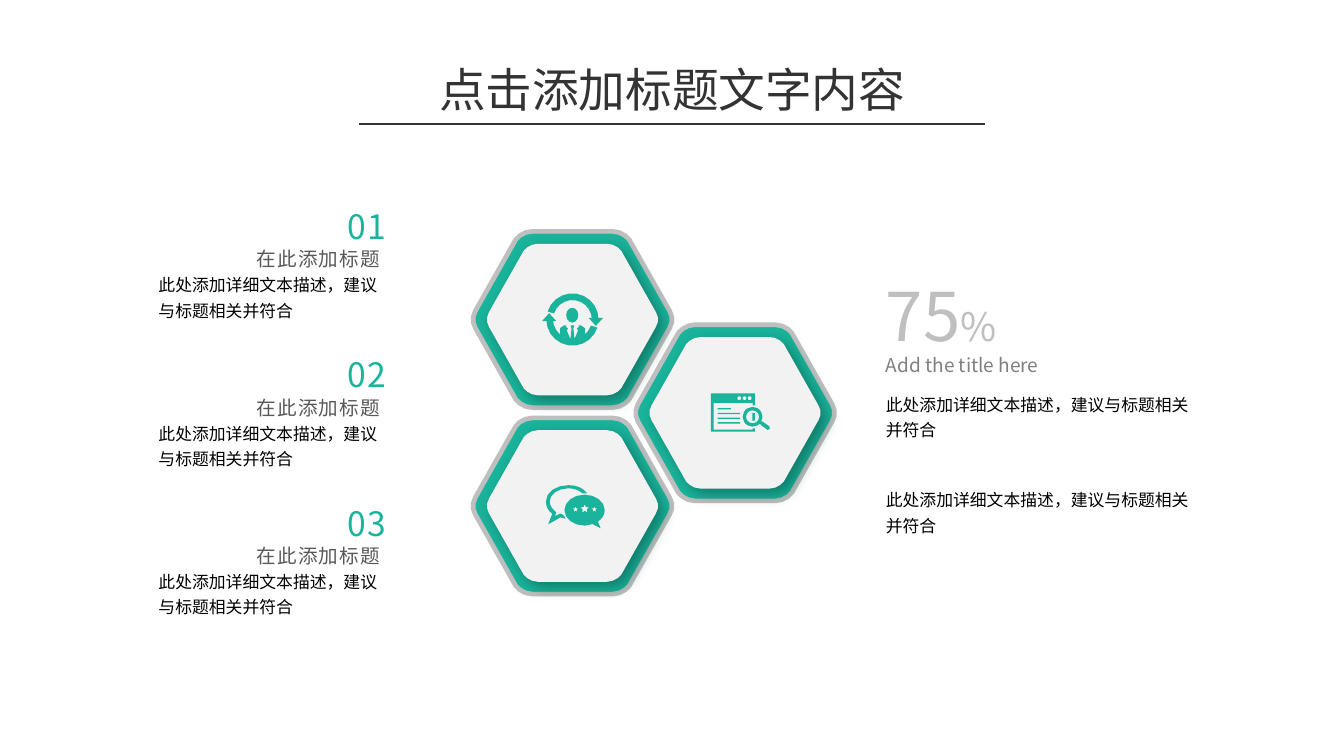
from dataclasses import dataclass
from math import cos, radians, sin

from lxml.etree import SubElement
from pptx import Presentation
from pptx.dml.color import RGBColor
from pptx.enum.shapes import MSO_CONNECTOR, MSO_SHAPE
from pptx.enum.text import MSO_ANCHOR, MSO_AUTO_SIZE, PP_ALIGN
from pptx.oxml.ns import qn
from pptx.util import Pt

FONT = "Noto Sans CJK SC"
TEAL = RGBColor(0x19, 0xB4, 0x9B)
PANEL = RGBColor(0xF2, 0xF2, 0xF2)
SILVER = RGBColor(0xBF, 0xBF, 0xBF)
DARK = RGBColor(0x33, 0x33, 0x33)
HEADING = RGBColor(0x59, 0x59, 0x59)
GRAY = RGBColor(0x80, 0x80, 0x80)
BLACK = RGBColor(0, 0, 0)
DETAIL = "此处添加详细文本描述，建议与标题相关并符合"


@dataclass
class Label:
    text: str
    left: float
    top: float
    width: float
    height: float
    size: float
    color: RGBColor
    align: PP_ALIGN = PP_ALIGN.LEFT
    line_spacing: float = 1.0
    letter_spacing: float = 0
    wrap: bool = True


@dataclass
class Center:
    x: float
    y: float


def flatten(segments: list, steps: int) -> list:
    points = [segments[0]]
    for segment in segments[1:]:
        if len(segment) == 2:
            points.append(segment)
            continue
        x0, y0 = points[-1]
        x1, y1, x2, y2, x3, y3 = segment
        for step in range(1, steps + 1):
            t = step / steps
            u = 1 - t
            a, b, c, d = u**3, 3 * u * u * t, 3 * u * t * t, t**3
            points.append((a * x0 + b * x1 + c * x2 + d * x3,
                           a * y0 + b * y1 + c * y2 + d * y3))
    return points


def arc(radius: float, start: float, end: float, steps: int = 10) -> list:
    angles = [radians(start + (end - start) * step / steps) for step in range(steps + 1)]
    return [(radius * cos(angle), radius * sin(angle)) for angle in angles]


def star(x: float, y: float, radius: float) -> list:
    radii = [radius * (0.45 if tip % 2 else 1) for tip in range(10)]
    return [(x + r * sin(radians(36 * tip)), y - r * cos(radians(36 * tip)))
            for tip, r in enumerate(radii)]


def hexagon(scale: float) -> list:
    corners = [(-21.6, 47.2), (-25.2, 47.2, -28.8, 45, -30.4, 42.8), (-52, 4.6),
               (-53.7, 2, -53.7, -2, -52, -4.6), (-30.4, -42.8),
               (-28.8, -45, -25.2, -47.2, -21.6, -47.2)]
    left = flatten(corners, 3)
    right = [(-x, -y) for x, y in left]
    return [(x * scale, y * scale) for x, y in left + right]


def paint(shape, color: RGBColor) -> None:
    shape.shadow.inherit = False
    shape.fill.solid()
    shape.fill.fore_color.rgb = color
    shape.line.fill.background()


def draw_outline(slide, center: Center, *contours: list, color: RGBColor = TEAL):
    builder = None
    for contour in contours:
        points = [(Pt(center.x + x), Pt(center.y + y)) for x, y in contour]
        if builder is None:
            builder = slide.shapes.build_freeform(*points[0], scale=1.0)
        else:
            builder.move_to(*points[0])
        builder.add_line_segments(points[1:], close=True)
    shape = builder.convert_to_shape()
    paint(shape, color)
    return shape


def draw_preset(slide, center: Center, kind: MSO_SHAPE, x: float, y: float,
                width: float, height: float, color: RGBColor = TEAL):
    shape = slide.shapes.add_shape(kind, Pt(center.x + x), Pt(center.y + y),
                                   Pt(width), Pt(height))
    paint(shape, color)
    return shape


def draw_hexagon(slide, center: Center) -> None:
    frame = draw_outline(slide, center, hexagon(1))
    frame.line.color.rgb = SILVER
    frame.line.width = Pt(2.5)
    panel = draw_outline(slide, center, hexagon(0.86), color=PANEL)
    effects = panel._element.spPr.find(qn("a:effectLst"))
    shadow = SubElement(effects, qn("a:outerShdw"), blurRad=str(Pt(8)), dist=str(Pt(4)),
                        dir="2700000", algn="tl", rotWithShape="0")
    tint = SubElement(shadow, qn("a:srgbClr"), val="0C5A4E")
    SubElement(tint, qn("a:alpha"), val="64000")


def draw_person_icon(slide, center: Center) -> None:
    draw_preset(slide, center, MSO_SHAPE.OVAL, -3.4, -6.3, 6.5, 7.9)
    shoulder = [(6.6, 4.6), (4.6, 3.2), (3.2, 3.2), (3.6, 4), (2.4, 4.7), (3, 6),
                (0.9, 11), (6.6, 8.4)]
    arrow = [(-8.6, 0.9), (-12.5, -3.4), (-16.4, 0.9)]
    tie = [(-1, 3.2), (1, 3.2), (0.5, 4.6), (1.1, 10.6), (0, 11.2), (-1.1, 10.6), (-0.5, 4.6)]
    rings = [arc(14, start, start + 162) + arc(10.4, start + 162, start)
             for start in (18, 198)]
    shoulders = [[(side * x, y) for x, y in shoulder] for side in (1, -1)]
    arrows = [[(side * x, side * y) for x, y in arrow] for side in (1, -1)]
    draw_outline(slide, center, *shoulders, tie)
    for ring in rings:
        draw_outline(slide, center, ring)
    for head in arrows:
        draw_outline(slide, center, head)


def draw_search_icon(slide, center: Center) -> None:
    window = [(10.6, 8.3), (9.4, 8.3), (9.4, 9), (-11.5, 9), (-11.5, -5.4), (9.4, -5.4),
              (9.4, -4), (10.6, -4), (10.6, -10.4), (-13, -10.4), (-13, 10), (10.6, 10)]
    draw_outline(slide, center, window)
    for x in (2.2, 5, 7.8):
        draw_preset(slide, center, MSO_SHAPE.OVAL, x - 1, -8.9, 2, 2, PANEL)
    for row, width in enumerate((7.2, 12.2, 12.2, 12.2)):
        draw_preset(slide, center, MSO_SHAPE.RECTANGLE, -9.4, -2.5 + 2.5 * row, width, 0.7)
    lens = draw_preset(slide, center, MSO_SHAPE.DONUT, 4.1, -3.2, 10.6, 10.6)
    lens.adjustments[0] = 0.17
    draw_preset(slide, center, MSO_SHAPE.RECTANGLE, 9.2, 0.2, 1.4, 4)
    draw_outline(slide, center, [(12.9, 5.2), (14.4, 4.5), (18.4, 7.2), (18.6, 8.6),
                                 (17.5, 9.2), (14.2, 6.8)])


def draw_chat_icon(slide, center: Center) -> None:
    back = [(-5, 4.7), (-6.5, 4), (-9.4, 5.4), (-8.6, 3.4),
            (-10.8, 1.8, -12.2, -0.4, -12.2, -2.5), (-12.2, -6.1, -7.9, -9.5, -2.2, -9.5),
            (0.7, -9.5, 3.6, -8.5, 5.3, -6.8), (7.9, -6.8),
            (5.8, -9.7, 2.2, -11.2, -2.2, -11.2), (-8.6, -11.2, -14.2, -7.6, -14.2, -2.5),
            (-14.2, 0.4, -13, 2.5, -10.8, 4.2), (-13, 9.7), (-10.6, 8.5),
            (-6.5, 6.1), (-3.6, 6.8)]
    front = [(17.3, 2.2), (17.3, -2.4, 12.4, -6.1, 6.5, -6.1),
             (0.6, -6.1, -4.3, -2.4, -4.3, 2.2), (-4.3, 6.8, 0.6, 10.5, 6.5, 10.5),
             (10.8, 9.7), (15.1, 11.9), (13.7, 8.3), (15.9, 6.8, 17.3, 4.7, 17.3, 2.2)]
    draw_outline(slide, center, flatten(back, 4))
    draw_outline(slide, center, flatten(front, 4), star(1.6, 1.8, 1.6), star(6.6, 1.5, 2.5),
                 star(11.7, 1.8, 1.6))


def format_label(shape, label: Label) -> None:
    shape.left, shape.top = Pt(label.left), Pt(label.top)
    shape.width, shape.height = Pt(label.width), Pt(label.height)
    frame = shape.text_frame
    frame.text = label.text
    frame.word_wrap = label.wrap
    frame.auto_size = MSO_AUTO_SIZE.NONE
    frame.vertical_anchor = MSO_ANCHOR.TOP
    paragraph = frame.paragraphs[0]
    paragraph.alignment = label.align
    paragraph.line_spacing = label.line_spacing
    format_run(paragraph.runs[0], label.size, label.color, label.letter_spacing)


def format_run(run, size: float, color: RGBColor, letter_spacing: float = 0) -> None:
    run.font.size = Pt(size)
    run.font.color.rgb = color
    run.font.name = FONT
    properties = run._r.get_or_add_rPr()
    SubElement(properties, qn("a:ea"), typeface=FONT)
    if letter_spacing:
        properties.set("spc", str(round(letter_spacing * 100)))


def add_label(slide, label: Label):
    box = slide.shapes.add_textbox(0, 0, 0, 0)
    format_label(box, label)
    return box


def main() -> None:
    presentation = Presentation()
    presentation.slide_width, presentation.slide_height = Pt(720), Pt(405)
    slide = presentation.slides.add_slide(presentation.slide_layouts[5])
    format_label(slide.shapes.title, Label("点击添加标题文字内容", 226.8, 28.8, 266.4, 37.4,
                                           25, DARK, PP_ALIGN.CENTER))
    rule = slide.shapes.add_connector(MSO_CONNECTOR.STRAIGHT, Pt(192.4), Pt(66.4),
                                      Pt(527.6), Pt(66.4))
    rule.line.color.rgb = DARK
    rule.line.width = Pt(0.75)
    SubElement(rule._element.spPr, qn("a:effectLst"))

    tiles = [(Center(306.7, 171.2), draw_person_icon), (Center(306.7, 271.1), draw_chat_icon),
             (Center(393.8, 221.2), draw_search_icon)]
    for center, draw_icon in tiles:
        draw_hexagon(slide, center)
        draw_icon(slide, center)

    for index in range(3):
        top = 106.7 + 79.5 * index
        add_label(slide, Label(DETAIL, 77.8, top + 34.4, 133.2, 34.6, 9, BLACK,
                               line_spacing=1.25))
        add_label(slide, Label("在此添加标题", 72, top + 22.2, 139, 19.8, 10.5, HEADING,
                               PP_ALIGN.RIGHT, letter_spacing=0.8))
        add_label(slide, Label(f"{index + 1:02}", 177.8, top, 37.4, 28.8, 18, TEAL,
                               PP_ALIGN.CENTER, letter_spacing=0.8, wrap=False))

    for top in (205.2, 256.3):
        add_label(slide, Label(DETAIL, 467.5, top, 179.6, 34.6, 9, BLACK, line_spacing=1.25))
    add_label(slide, Label("Add the title here", 467.5, 185.8, 123.8, 19.4, 10.2, GRAY))
    figure = add_label(slide, Label("75", 467.5, 143.3, 76.3, 51.1, 36, SILVER, wrap=False))
    percent = figure.text_frame.paragraphs[0].add_run()
    percent.text = "%"
    format_run(percent, 21, SILVER)
    presentation.save("out.pptx")


if __name__ == "__main__":
    main()
